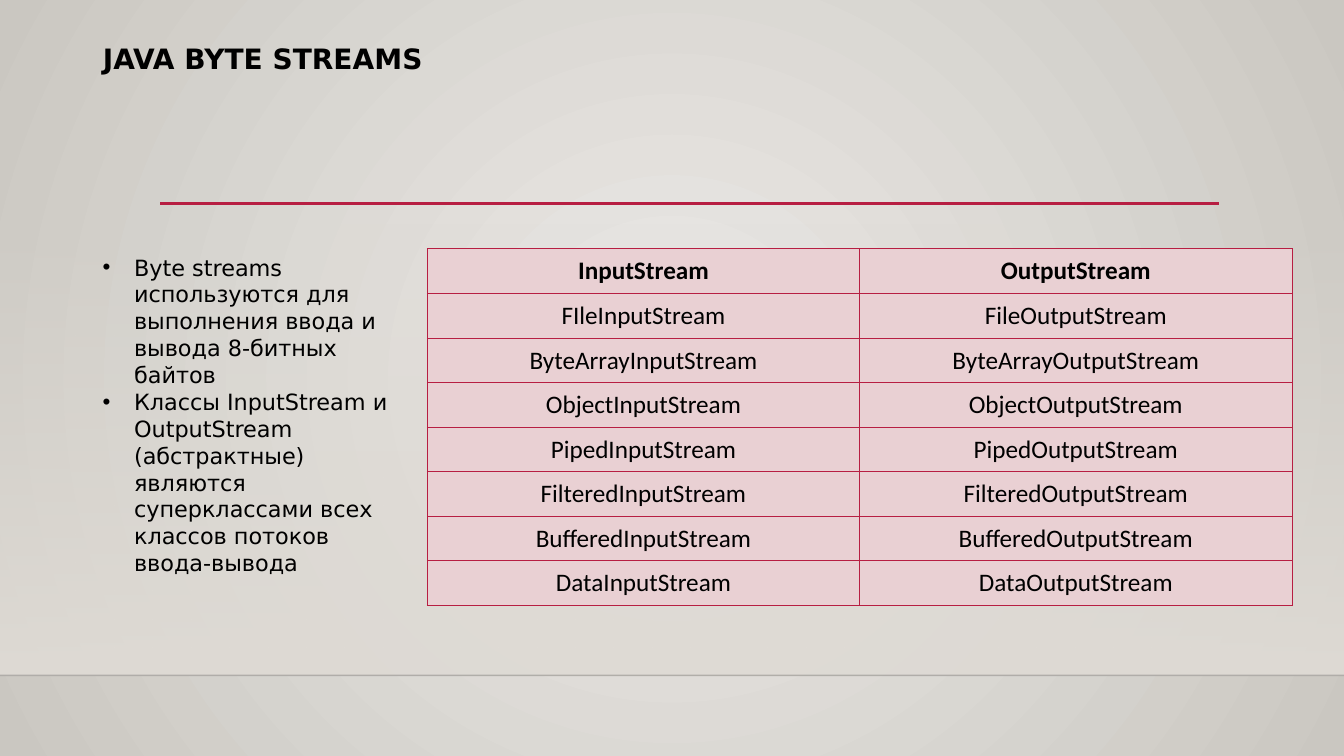
from lxml import etree
from pptx import Presentation
from pptx.dml.color import RGBColor
from pptx.enum.shapes import MSO_CONNECTOR, MSO_SHAPE
from pptx.enum.text import MSO_ANCHOR, PP_ALIGN
from pptx.oxml.ns import qn
from pptx.util import Cm, Pt

BLACK = RGBColor(0x00, 0x00, 0x00)
HORIZON = RGBColor(0x00, 0x00, 0x01)
CRIMSON = RGBColor(0xB7, 0x1E, 0x42)
PINK = RGBColor(0xE9, 0xD0, 0xD3)
WALL = RGBColor(0xDF, 0xDB, 0xD5)
GLOW = RGBColor(0xEC, 0xEA, 0xE7)
EDGE = RGBColor(0xCA, 0xC7, 0xC1)

SLIDE_W, SLIDE_H = 33.87, 19.05
LEFT, TOP = 2.34, 6.27
TITLE_FONT = dict(name="DejaVu Sans", size=Pt(20), bold=True)
BODY_FONT = dict(name="DejaVu Sans", size=Pt(16))
CELL_FONT = dict(name="Calibri", size=Pt(18))

NOTES = [
    "Byte streams используются для выполнения ввода и вывода 8-битных байтов",
    "Классы InputStream и OutputStream (абстрактные) являются суперклассами "
    "всех классов потоков ввода-вывода",
]
STREAMS = [
    ("InputStream", "OutputStream"),
    ("FIleInputStream", "FileOutputStream"),
    ("ByteArrayInputStream", "ByteArrayOutputStream"),
    ("ObjectInputStream", "ObjectOutputStream"),
    ("PipedInputStream", "PipedOutputStream"),
    ("FilteredInputStream", "FilteredOutputStream"),
    ("BufferedInputStream", "BufferedOutputStream"),
    ("DataInputStream", "DataOutputStream"),
]


def sub(parent, tag, **attrs):
    return etree.SubElement(parent, qn(tag), attrs)


def set_alpha(element, percent):
    """Give the first RGB colour inside element an opacity."""
    sub(next(element.iter(qn("a:srgbClr"))), "a:alpha", val=str(percent * 1000))


def set_gradient(fill, colors):
    """Start a two-stop gradient and return its XML, without a direction."""
    fill.gradient()
    for stop, color, position in zip(fill.gradient_stops, colors, (0, 1)):
        stop.color.rgb = color
        stop.position = position
    grad = fill._fill._gradFill
    grad.remove(grad.find(qn("a:lin")))
    return grad


def add_run(p, text, font):
    r = p.add_run()
    r.text = text
    for name, value in font.items():
        setattr(r.font, name, value)
    r.font.color.rgb = BLACK


def add_rule(slide, x1, x2, y, color, width):
    line = slide.shapes.add_connector(
        MSO_CONNECTOR.STRAIGHT, Cm(x1), Cm(y), Cm(x2), Cm(y))
    line.line.color.rgb = color
    line.line.width = Pt(width)
    sub(line.element.spPr, "a:effectLst")
    return line


def add_backdrop(slide, horizon_y):
    grad = set_gradient(slide.background.fill, (GLOW, EDGE))
    centre = sub(grad, "a:path", path="circle")
    sub(centre, "a:fillToRect", l="50000", t="50000", r="50000", b="50000")

    wall_y = 5.61
    wall = slide.shapes.add_shape(MSO_SHAPE.RECTANGLE, 0, Cm(wall_y),
                                  Cm(SLIDE_W), Cm(horizon_y - wall_y))
    wall.shadow.inherit = False
    wall.line.fill.background()
    grad = set_gradient(wall.fill, (WALL, WALL))
    set_alpha(grad, 0)
    sub(grad, "a:lin", ang="5400000", scaled="0")

    horizon = add_rule(slide, 0, SLIDE_W, horizon_y, HORIZON, 1)
    set_alpha(horizon.element.spPr, 20)


def add_title(slide, x, y, w, h):
    title = slide.shapes.title
    slide.shapes.element.append(title.element)
    title.left, title.top, title.width, title.height = map(Cm, (x, y, w, h))
    tf = title.text_frame
    tf.vertical_anchor = MSO_ANCHOR.TOP
    p = tf.paragraphs[0]
    p.alignment = PP_ALIGN.LEFT
    p.line_spacing = 0.9
    add_run(p, "JAVA BYTE STREAMS", TITLE_FONT)


def add_notes(slide, x, y, w, h):
    tf = slide.shapes.add_textbox(*map(Cm, (x, y, w, h))).text_frame
    tf.word_wrap = True
    for i, note in enumerate(NOTES):
        p = tf.add_paragraph() if i else tf.paragraphs[0]
        pPr = p._p.get_or_add_pPr()
        pPr.set("marL", str(Cm(0.79)))
        pPr.set("indent", str(-Cm(0.79)))
        sub(pPr, "a:buFont", typeface="Arial")
        sub(pPr, "a:buChar", char="•")
        add_run(p, note, BODY_FONT)


def format_cell(cell, text, bold):
    tcPr = cell._tc.get_or_add_tcPr()
    for side in "LRTB":
        ln = sub(tcPr, f"a:ln{side}", w=str(Pt(0.75)))
        sub(sub(ln, "a:solidFill"), "a:srgbClr", val=str(CRIMSON))
    cell.fill.solid()
    cell.fill.fore_color.rgb = PINK
    for side in ("left", "right", "top", "bottom"):
        setattr(cell, f"margin_{side}", Cm(0.18))
    p = cell.text_frame.paragraphs[0]
    p.alignment = PP_ALIGN.CENTER
    add_run(p, text, dict(CELL_FONT, bold=bold))


def add_stream_table(slide, x, y, w, h):
    table = slide.shapes.add_table(
        len(STREAMS), len(STREAMS[0]), *map(Cm, (x, y, w, h))).table
    for i, names in enumerate(STREAMS):
        for j, name in enumerate(names):
            format_cell(table.cell(i, j), name, bold=i == 0)


def main():
    prs = Presentation()
    prs.slide_width, prs.slide_height = Cm(SLIDE_W), Cm(SLIDE_H)
    slide = prs.slides.add_slide(prs.slide_layouts[5])
    add_backdrop(slide, horizon_y=17.02)
    add_rule(slide, 4.04, 30.73, 5.13, CRIMSON, 2.5)
    add_title(slide, LEFT, 1.02, 28.93, 1.55)
    add_notes(slide, LEFT, TOP, 8.03, 8.46)
    add_stream_table(slide, 10.77, TOP, 21.79, 8.81)
    prs.save("out.pptx")


if __name__ == "__main__":
    main()
